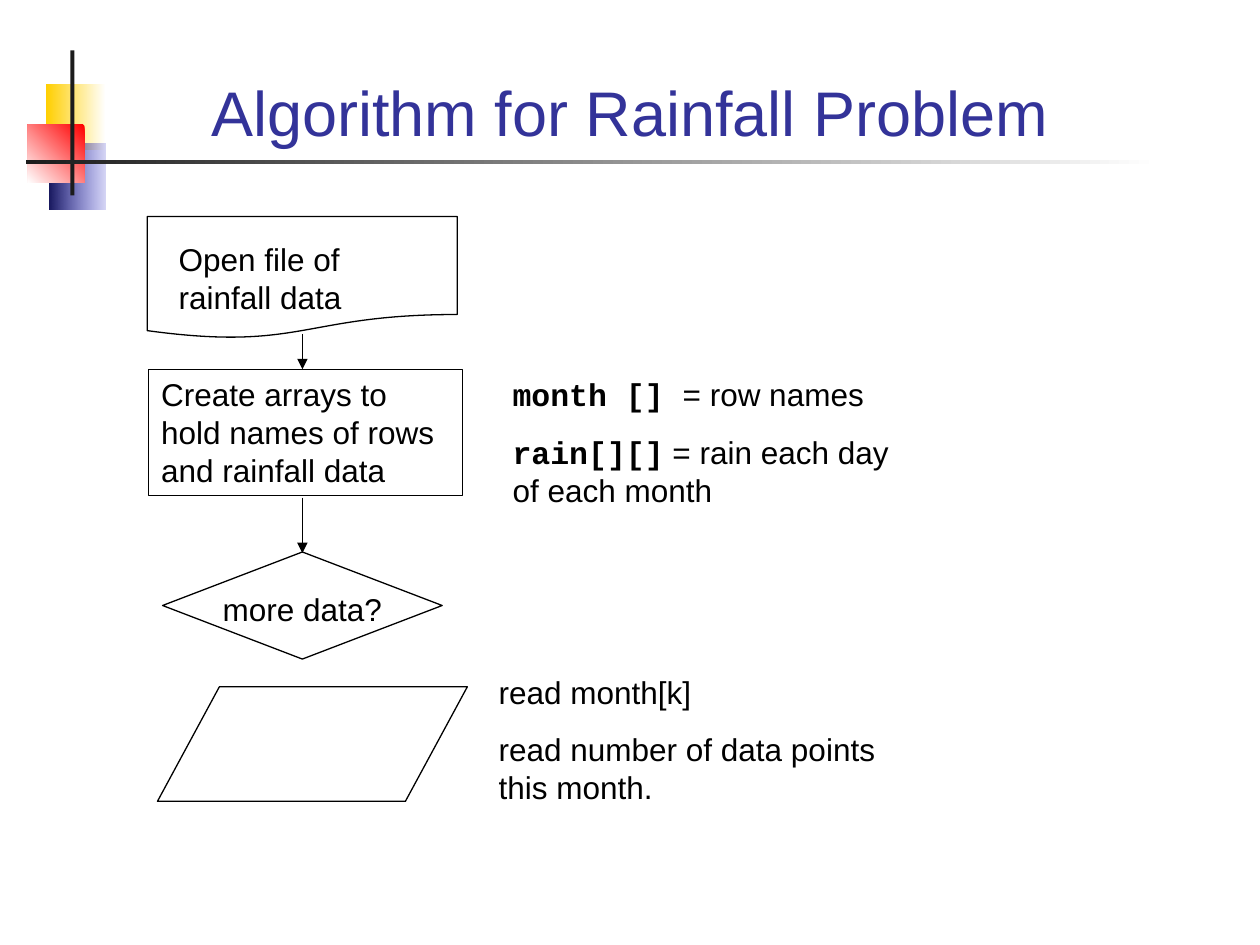
from lxml.etree import SubElement
from pptx import Presentation
from pptx.dml.color import RGBColor
from pptx.enum.shapes import MSO_CONNECTOR, MSO_SHAPE as Preset
from pptx.enum.text import MSO_ANCHOR, PP_ALIGN as Align
from pptx.oxml.ns import qn
from pptx.util import Pt


def color(hex_value):
    return RGBColor.from_string(hex_value)


def write(shape, paragraphs, align=Align.LEFT, size=18, ink="000000"):
    frame = shape.text_frame
    frame.word_wrap = True
    frame.vertical_anchor = MSO_ANCHOR.TOP
    for index, pieces in enumerate(paragraphs):
        paragraph = frame.add_paragraph() if index else frame.paragraphs[0]
        paragraph.alignment = align
        if index:
            paragraph.space_before = Pt(11.2)
        for text, font_name in pieces:
            run = paragraph.add_run()
            run.text = text
            run.font.name = font_name
            run.font.size = Pt(size)
            run.font.bold = font_name == "Courier New"
            run.font.color.rgb = color(ink)


deck = Presentation()
deck.slide_width, deck.slide_height = Pt(720), Pt(540)
slide = deck.slides.add_slide(deck.slide_layouts[6])
shapes = slide.shapes

ornaments = [
    ((26.6, 48.2, 33.8, 37.4), "FFFFFF", "FFCF01", 180),
    ((28.1, 82.1, 32.4, 37.4), "3333CC", "17175E", 180),
    ((15.8, 71.3, 32.4, 33.1), "FF0000", "FFFFFF", 225),
    ((40.3, 28.8, 2.2, 82.8), "1C1C1C", "1C1C1C", 180),
    ((15.1, 91.4, 647.3, 2.2), "FFFFFF", "1C1C1C", 180),
]
for box, start, end, angle in ornaments:
    ornament = shapes.add_shape(Preset.RECTANGLE, *map(Pt, box))
    ornament.shadow.inherit = False
    ornament.line.fill.background()
    if start == end:
        ornament.fill.solid()
        ornament.fill.fore_color.rgb = color(start)
        continue
    ornament.fill.gradient()
    ornament.fill.gradient_angle = angle
    for stop, shade, position in zip(ornament.fill.gradient_stops, (start, end), (0, 1)):
        stop.color.rgb = color(shade)
        stop.position = position
    if start == "3333CC":
        faded = next(ornament.element.iter(qn("a:srgbClr")))
        SubElement(faded, qn("a:alpha")).set("val", "20000")

title = shapes.add_textbox(Pt(48.2), Pt(20.2), Pt(623.5), Pt(68.4))
write(title, [[("Algorithm for Rainfall Problem", "Arial")]], Align.CENTER, 36, "333399")
title.text_frame.vertical_anchor = MSO_ANCHOR.BOTTOM

steps = [
    (Preset.FLOWCHART_DOCUMENT, (84.2, 123.8, 177.1, 69.8), None),
    (Preset.RECTANGLE, (85, 211, 179.3, 72),
     "Create arrays to hold names of rows and rainfall data"),
    (Preset.FLOWCHART_DECISION, (92.9, 315.4, 159.8, 61.2), None),
    (Preset.FLOWCHART_DATA, (90, 392.4, 177.1, 65.5), None),
]
for preset, box, label in steps:
    step = shapes.add_shape(preset, *map(Pt, box))
    step.shadow.inherit = False
    step.fill.background()
    step.line.color.rgb = color("000000")
    step.line.width = Pt(0.75)
    if label:
        write(step, [[(label, "Arial")]])

for top, bottom in [(190.8, 211), (284.4, 316.1)]:
    arrow = shapes.add_connector(
        MSO_CONNECTOR.STRAIGHT, Pt(172.8), Pt(top), Pt(172.8), Pt(bottom))
    arrow.line.color.rgb = color("000000")
    arrow.line.width = Pt(0.75)
    SubElement(arrow.line._get_or_add_ln(), qn("a:tailEnd")).set("type", "triangle")
    SubElement(arrow.element.spPr, qn("a:effectLst"))

captions = [
    ((95, 133.9, 154.8, 50.4), Align.LEFT, [[("Open file of rainfall data", "Arial")]]),
    ((285.8, 211, 231.8, 83.5), Align.LEFT, [
        [("month [] ", "Courier New"), ("= row names", "Arial")],
        [("rain[][]", "Courier New"), (" = rain each day of each month", "Arial")],
    ]),
    ((96.5, 333.4, 152.6, 28.8), Align.CENTER, [[("more data?", "Arial")]]),
    ((277.9, 380.9, 233.3, 83.5), Align.LEFT, [
        [("read month[k]", "Arial")],
        [("read number of data points this month.", "Arial")],
    ]),
]
for box, align, paragraphs in captions:
    write(shapes.add_textbox(*map(Pt, box)), paragraphs, align)

deck.save("out.pptx")
